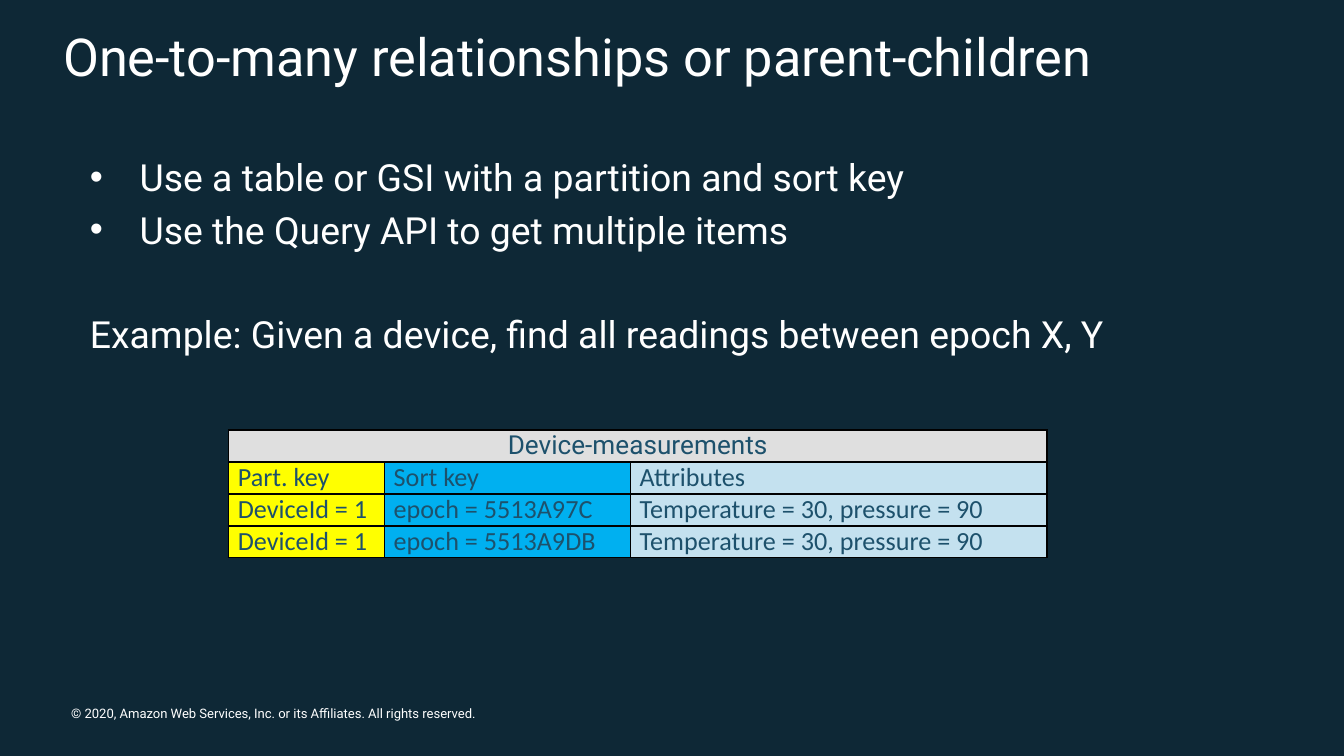
from dataclasses import dataclass

from lxml import etree
from pptx import Presentation
from pptx.dml.color import RGBColor
from pptx.enum import text
from pptx.oxml import ns
from pptx.util import Inches, Pt


@dataclass(frozen=True)
class Theme:
    background: str = "0E2836"
    light: str = "FFFFFF"
    table_text: str = "1D516C"
    border: str = "000000"
    heading_fill: str = "DFDFDF"
    column_fills: tuple = ("FFFF00", "00B0F0", "C4E1EF")
    font: str = "Roboto"
    cell_font: str = "Calibri"
    title_size: int = 28
    body_size: int = 20
    table_size: int = 14
    footer_size: int = 7


theme = Theme()


def style(paragraph, size, color=theme.light, name=theme.font):
    paragraph.font.size = Pt(size)
    paragraph.font.name = name
    paragraph.font.color.rgb = RGBColor.from_string(color)


def add_borders(cell):
    properties = cell._tc.get_or_add_tcPr()
    for side in ("lnL", "lnR", "lnT", "lnB"):
        line = etree.SubElement(properties, ns.qn(f"a:{side}"), w=str(Pt(1)))
        fill = etree.SubElement(line, ns.qn("a:solidFill"))
        etree.SubElement(fill, ns.qn("a:srgbClr"), val=theme.border)


# Widescreen slide, 16:9
presentation = Presentation()
presentation.slide_width = Inches(10)
presentation.slide_height = Inches(10 * 9 / 16)
slide = presentation.slides.add_slide(presentation.slide_layouts[5])
slide.background.fill.solid()
slide.background.fill.fore_color.rgb = RGBColor.from_string(theme.background)

# Title
title = slide.shapes.title
title.left, title.top = Inches(0.37), Inches(0.13)
title.width, title.height = Inches(8.97), Inches(0.6)
title.text_frame.text = "One-to-many relationships or parent-children"
title.text_frame.auto_size = text.MSO_AUTO_SIZE.NONE
title.text_frame.vertical_anchor = text.MSO_ANCHOR.TOP
title.text_frame.paragraphs[0].alignment = text.PP_ALIGN.LEFT
style(title.text_frame.paragraphs[0], theme.title_size)

# Body: wording, bulleted, space before in points
body_lines = [
    ("Use a table or GSI with a partition and sort key", True, 0),
    ("Use the Query API to get multiple items", True, 4),
    ("Example: Given a device, find all readings between epoch X, Y", False, 32),
]
body = slide.shapes.add_textbox(Inches(0.57), Inches(1.1), Inches(8.78), Inches(3.89))
body.text_frame.word_wrap = True
body.text_frame.text = "\n".join(line[0] for line in body_lines)
for paragraph, (_, bulleted, space) in zip(body.text_frame.paragraphs, body_lines):
    paragraph.space_before = Pt(space)
    if bulleted:
        properties = paragraph._p.get_or_add_pPr()
        properties.set("marL", str(Inches(0.37)))
        properties.set("indent", str(Inches(-0.37)))
        etree.SubElement(properties, ns.qn("a:buFont"), typeface="Arial")
        etree.SubElement(properties, ns.qn("a:buChar"), char="•")
    style(paragraph, theme.body_size)

# Table of measurements
rows = [
    ("Device-measurements", "", ""),
    ("Part. key", "Sort key", "Attributes"),
    ("DeviceId = 1", "epoch = 5513A97C", "Temperature = 30, pressure = 90"),
    ("DeviceId = 1", "epoch = 5513A9DB", "Temperature = 30, pressure = 90"),
]
column_widths = (1.16, 1.83, 3.1)
table_height = 0.95
table = slide.shapes.add_table(
    len(rows), len(column_widths), Inches(1.7), Inches(3.2),
    Inches(sum(column_widths)), Inches(table_height),
).table
table.first_row = table.horz_banding = False
for column, width in zip(table.columns, column_widths):
    column.width = Inches(width)
for row_index, row in enumerate(rows):
    table.rows[row_index].height = Inches(table_height / len(rows))
    is_heading = row_index == 0
    for column_index, wording in enumerate(row):
        cell = table.cell(row_index, column_index)
        cell.margin_left = cell.margin_right = Inches(0.07)
        cell.margin_top = cell.margin_bottom = 0
        add_borders(cell)
        cell.fill.solid()
        cell.fill.fore_color.rgb = RGBColor.from_string(
            theme.heading_fill if is_heading else theme.column_fills[column_index])
        cell.text = wording
        style(cell.text_frame.paragraphs[0], theme.table_size, theme.table_text,
              theme.font if is_heading else theme.cell_font)
table.cell(0, 0).merge(table.cell(0, len(column_widths) - 1))
table.cell(0, 0).text_frame.paragraphs[0].alignment = text.PP_ALIGN.CENTER

# Copyright line
footer = slide.shapes.add_textbox(Inches(0.53), Inches(5.25), Inches(3.31), Inches(0.12))
frame = footer.text_frame
frame.word_wrap = True
frame.margin_left = frame.margin_right = frame.margin_top = frame.margin_bottom = 0
frame.text = "© 2020, Amazon Web Services, Inc. or its Affiliates. All rights reserved."
style(frame.paragraphs[0], theme.footer_size)

presentation.save("out.pptx")
